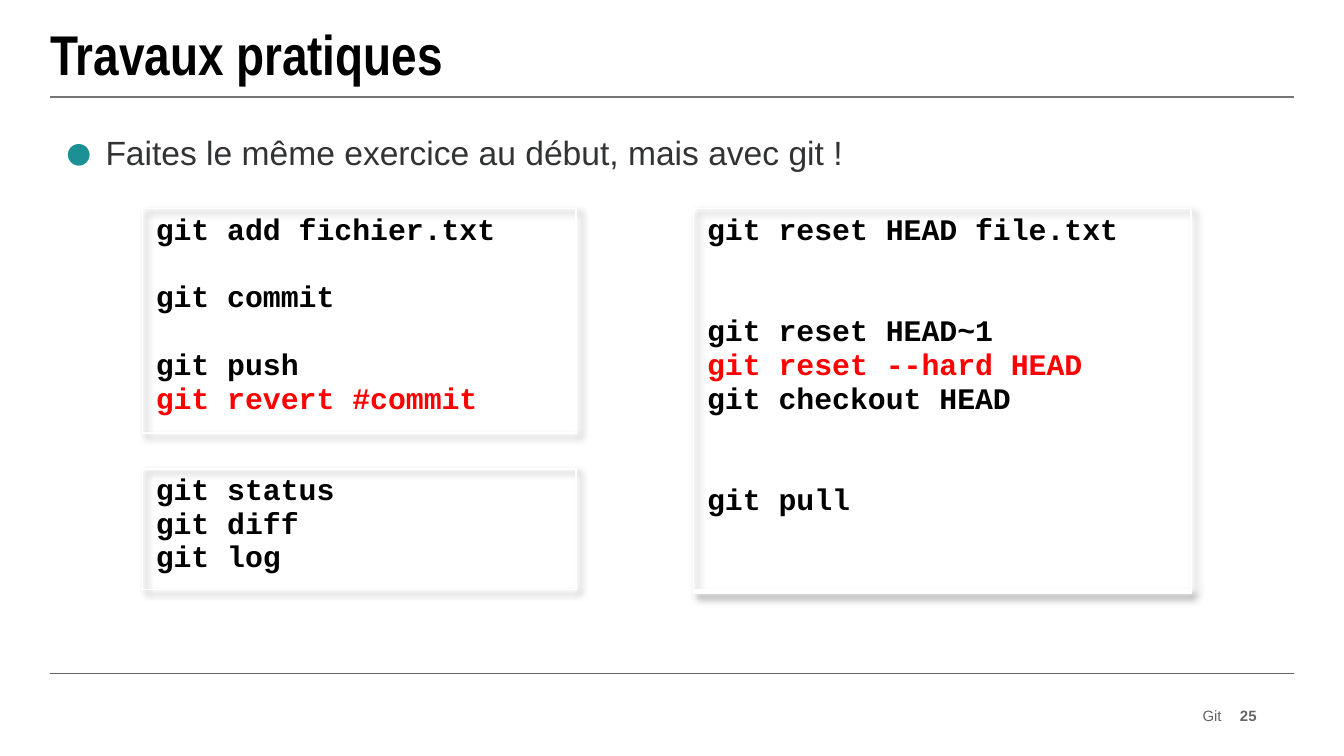
from dataclasses import dataclass

from lxml.etree import SubElement
from pptx import Presentation
from pptx.dml.color import RGBColor
from pptx.enum.shapes import MSO_CONNECTOR
from pptx.enum.text import MSO_ANCHOR, MSO_AUTO_SIZE, PP_ALIGN
from pptx.oxml import parse_xml
from pptx.oxml.ns import nsdecls, qn
from pptx.util import Cm, Pt

BLACK, RED, GREY = "000000", "FF0000", "646567"
LEFT, WIDTH = 0.95, 23.5
CODE_LINE = 18.1  # height in points of one line of code


@dataclass
class Command:
    words: str
    color: str = BLACK
    lines_before: int = 0


@dataclass
class CodePanel:
    left: float
    top: float
    width: float
    height: float
    commands: list[Command]
    bottom_border: float = 1


@dataclass
class FooterItem:
    words: str
    left: float
    width: float
    bold: bool = False


@dataclass
class Rule:
    top: float
    color: str


def rgb(color: str) -> RGBColor:
    return RGBColor.from_string(color)


def style(paragraph, font_name: str, size: float, color: str, bold: bool = False) -> None:
    font = paragraph.font
    font.name, font.size, font.bold = font_name, Pt(size), bold
    font.color.rgb = rgb(color)


def place(shape, left: float, top: float, width: float, height: float) -> None:
    shape.left, shape.top, shape.width, shape.height = map(Cm, (left, top, width, height))


def clear_margins(frame) -> None:
    frame.margin_left = frame.margin_right = frame.margin_top = frame.margin_bottom = 0
    frame.vertical_anchor = MSO_ANCHOR.MIDDLE


def add_rule(slide, rule: Rule) -> None:
    line = slide.shapes.add_connector(
        MSO_CONNECTOR.STRAIGHT, Cm(LEFT), Cm(rule.top), Cm(LEFT + WIDTH), Cm(rule.top))
    line.line.color.rgb = rgb(rule.color)
    line.line.width = Pt(1)
    SubElement(line._element.spPr, qn("a:effectLst"))


def fill_title(title, words: str) -> None:
    place(title, LEFT, 0.23, WIDTH, 1.55)
    frame = title.text_frame
    frame.text = words
    frame.auto_size = MSO_AUTO_SIZE.NONE
    clear_margins(frame)
    heading = frame.paragraphs[0]
    heading.alignment = PP_ALIGN.LEFT
    style(heading, "Arial Narrow", 30, BLACK, bold=True)


def fill_body(body, words: str) -> None:
    place(body, LEFT, 2.36, WIDTH, 9.96)
    frame = body.text_frame
    frame.text = words
    frame.auto_size = MSO_AUTO_SIZE.NONE
    instruction = frame.paragraphs[0]
    instruction.space_before = Pt(2)
    style(instruction, "Arial", 18, "323334")
    properties = instruction._p.get_or_add_pPr()
    properties.set("marL", str(Cm(0.79)))
    properties.set("indent", str(Cm(-0.79)))
    bullet = (("buClr", None), ("buSzPct", {"val": "150000"}),
              ("buFont", {"typeface": "Arial"}), ("buChar", {"char": "●"}))
    first = list(properties).index(properties.find(qn("a:spcBef"))) + 1
    for offset, (tag, attributes) in enumerate(bullet):
        part = parse_xml(f'<a:{tag} {nsdecls("a")}/>')
        for key, value in (attributes or {}).items():
            part.set(key, value)
        if tag == "buClr":
            SubElement(part, qn("a:srgbClr"), val="1B9195")
        properties.insert(first + offset, part)


def add_borders(cell, bottom_width: float) -> None:
    properties = cell._tc.get_or_add_tcPr()
    sides = (("lnL", 1), ("lnR", 1), ("lnT", 1), ("lnB", bottom_width))
    for position, (side, width) in enumerate(sides):
        properties.insert(position, parse_xml(
            f'<a:{side} {nsdecls("a")} w="{Pt(width)}"><a:solidFill>'
            f'<a:srgbClr val="FFFFFF"/></a:solidFill></a:{side}>'))


def add_shadow(table) -> None:
    table._tbl.tblPr.insert(0, parse_xml(
        f'<a:effectLst {nsdecls("a")}><a:outerShdw blurRad="{Pt(4)}" dist="{Pt(3)}" '
        'dir="2700000" algn="tl" rotWithShape="0"><a:srgbClr val="000000">'
        '<a:alpha val="40000"/></a:srgbClr></a:outerShdw></a:effectLst>'))


def add_code_panel(slide, panel: CodePanel) -> None:
    table = slide.shapes.add_table(
        1, 1, Cm(panel.left), Cm(panel.top), Cm(panel.width), Cm(panel.height)).table
    table.first_row = table.horz_banding = False
    add_shadow(table)
    cell = table.cell(0, 0)
    cell.fill.background()
    add_borders(cell, panel.bottom_border)
    frame = cell.text_frame
    frame.text = "\n".join(command.words for command in panel.commands)
    for paragraph, command in zip(frame.paragraphs, panel.commands):
        style(paragraph, "Courier New", 16, command.color, bold=True)
        paragraph.space_before = Pt(command.lines_before * CODE_LINE)


def add_footer_item(slide, item: FooterItem) -> None:
    box = slide.shapes.add_textbox(Cm(item.left), Cm(13.34), Cm(item.width), Cm(0.38))
    frame = box.text_frame
    frame.text = item.words
    frame.word_wrap = False
    clear_margins(frame)
    frame.paragraphs[0].alignment = PP_ALIGN.RIGHT
    style(frame.paragraphs[0], "Arial", 8, GREY, item.bold)


RULES = [Rule(12.73, GREY), Rule(1.83, "767676")]
FOOTER = [FooterItem("Git", 17.5, 5.59), FooterItem("25", 23.24, 0.51, bold=True)]
PANELS = [
    CodePanel(2.69, 3.94, 8.2, 4.11, [
        Command("git add fichier.txt"),
        Command("git commit", lines_before=1),
        Command("git push", lines_before=1),
        Command("git revert #commit", RED),
    ]),
    CodePanel(13.11, 3.94, 9.4, 7.24, [
        Command("git reset HEAD file.txt"),
        Command("git reset HEAD~1", lines_before=2),
        Command("git reset --hard HEAD", RED),
        Command("git checkout HEAD"),
        Command("git pull", lines_before=2),
    ], bottom_border=3),
    CodePanel(2.69, 8.86, 8.2, 2.18, [
        Command("git status"),
        Command("git diff"),
        Command("git log"),
    ]),
]


def main() -> None:
    deck = Presentation()
    deck.slide_width, deck.slide_height = Cm(25.4), Cm(14.29)
    slide = deck.slides.add_slide(deck.slide_layouts[1])
    for rule in RULES:
        add_rule(slide, rule)
    fill_title(slide.shapes.title, "Travaux pratiques")
    fill_body(slide.placeholders[1], "Faites le même exercice au début, mais avec git !")
    for item in FOOTER:
        add_footer_item(slide, item)
    for panel in PANELS:
        add_code_panel(slide, panel)
    deck.save("out.pptx")


if __name__ == "__main__":
    main()
